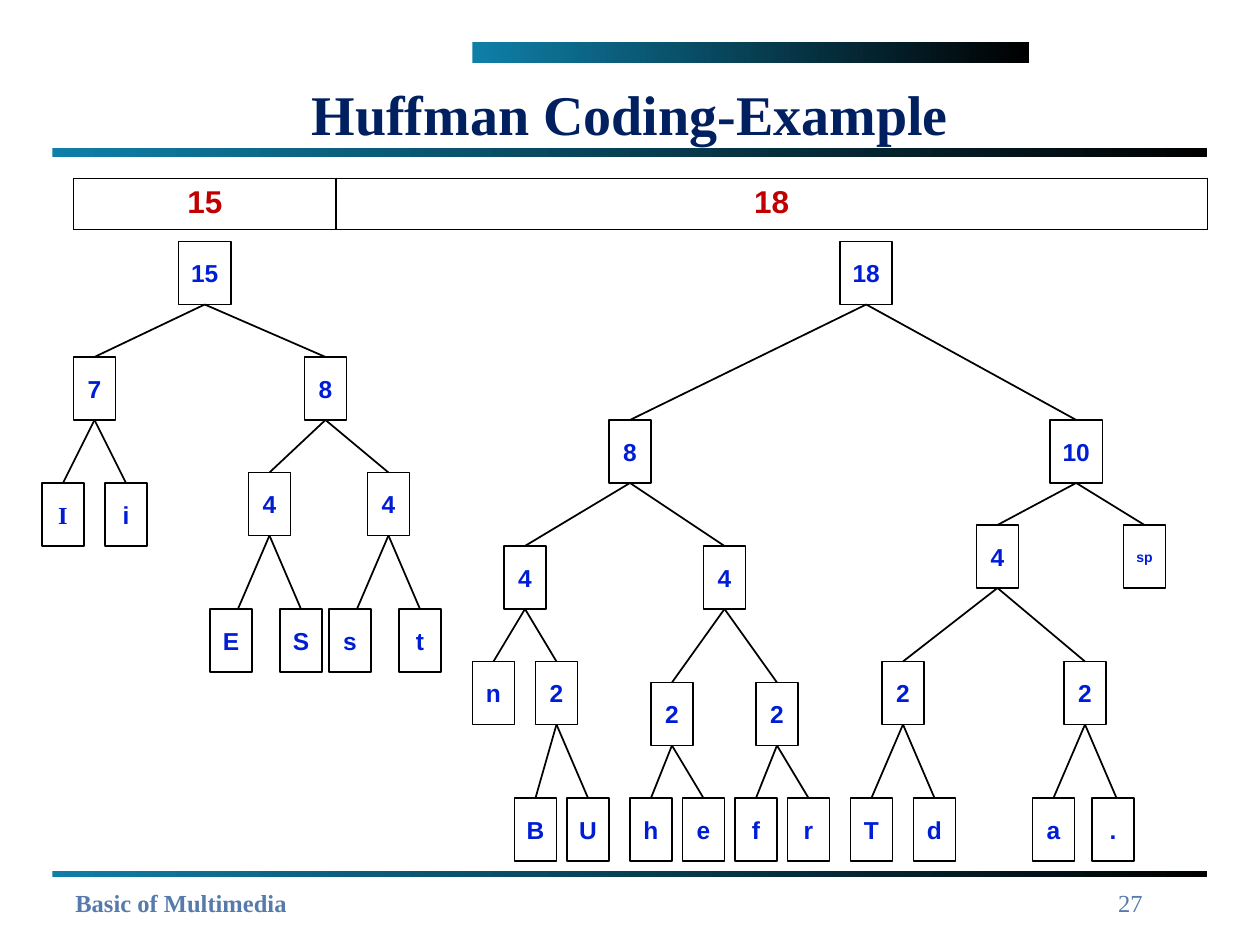
from dataclasses import dataclass
from typing import Optional

from lxml.etree import SubElement
from pptx import Presentation
from pptx.dml.color import RGBColor
from pptx.enum.shapes import MSO_CONNECTOR as Connector, MSO_SHAPE as Shape
from pptx.enum.text import MSO_ANCHOR as Anchor, PP_ALIGN as Align
from pptx.oxml import parse_xml
from pptx.oxml.ns import nsdecls, qn
from pptx.util import Pt


@dataclass(frozen=True)
class Theme:
    """Colours, type formats and line width of the slide."""
    ink: str = "000000"
    paper: str = "FFFFFF"
    accent: str = "0F7FA7"
    line: float = 1
    title = {"name": "Times New Roman", "size": 32, "bold": True, "color": "002060"}
    footer = {"name": "Times New Roman", "size": 14, "bold": True, "color": "557AAB"}
    number = {**footer, "bold": False}
    cell = {"name": "Arial", "size": 18, "bold": True, "color": "C00000"}
    node = {"name": "Arial", "size": 14, "bold": True, "color": "001DD6"}
    small = {**node, "size": 8}
    serif = {**node, "name": "Times New Roman"}


@dataclass(frozen=True)
class Node:
    """A tree node: its label, centre, top, children and where its edge ends."""
    label: str
    x: float
    y: float
    children: tuple = ()
    edge_x: Optional[float] = None


THEME = Theme()
NODE_HEIGHT = 36
NODE_WIDTH, WIDE_NODE = 24, 30
LEAF_STYLES = {"sp": THEME.small, "I": THEME.serif}

LEFT_TREE = Node("15", 117, 138, (
    Node("7", 54, 204, (Node("I", 36, 276), Node("i", 72, 276))),
    Node("8", 186, 204, (
        Node("4", 154, 270, (Node("E", 132, 348, edge_x=136), Node("S", 172, 348))),
        Node("4", 222, 270, (Node("s", 200, 348, edge_x=204), Node("t", 240, 348))),
    )),
))
RIGHT_TREE = Node("18", 495, 138, (
    Node("8", 360, 240, (
        Node("4", 300, 312, (
            Node("n", 282, 378),
            Node("2", 318, 378, (Node("B", 306, 456), Node("U", 336, 456))),
        )),
        Node("4", 414, 312, (
            Node("2", 384, 390, (Node("h", 372, 456), Node("e", 402, 456))),
            Node("2", 444, 390, (Node("f", 432, 456), Node("r", 462, 456))),
        )),
    )),
    Node("10", 615, 240, (
        Node("4", 570, 300, (
            Node("2", 516, 378, (Node("T", 498, 456), Node("d", 534, 456))),
            Node("2", 620, 378, (Node("a", 602, 456),
                                 Node(".", 636, 456, edge_x=638))),
        )),
        Node("sp", 654, 300),
    )),
))


def points(*lengths):
    """Turn plain numbers into point lengths."""
    return [Pt(length) for length in lengths]


def color(value):
    """Turn a hex string into a colour."""
    return RGBColor.from_string(value)


def write(frame, text, style, align):
    """Put one formatted line of text into a text frame."""
    para = frame.paragraphs[0]
    para.alignment = align
    span = para.add_run()
    span.text = text
    values = {**style, "size": Pt(style["size"])}
    span.font.color.rgb = color(values.pop("color"))
    for name, value in values.items():
        setattr(span.font, name, value)


def add_title(slide, text):
    """Place and fill the title placeholder."""
    title = slide.shapes.title
    title.left, title.top, title.width, title.height = points(30, 40.5, 660, 48)
    title.text_frame.vertical_anchor = Anchor.MIDDLE
    write(title.text_frame, text, THEME.title, Align.CENTER)


def add_text(slide, area, text, style, align):
    """Add a wrapping text box."""
    box = slide.shapes.add_textbox(*points(*area))
    box.text_frame.word_wrap = True
    write(box.text_frame, text, style, align)


def add_bar(slide, area):
    """Add a bar that fades from the accent colour to ink."""
    bar = slide.shapes.add_shape(Shape.RECTANGLE, *points(*area))
    bar.shadow.inherit = False
    bar.line.fill.background()
    bar.fill.gradient()
    bar.fill.gradient_angle = 0
    stops = zip(bar.fill.gradient_stops, (0, 1), (THEME.accent, THEME.ink))
    for stop, position, value in stops:
        stop.position = position
        stop.color.rgb = color(value)


def add_total_table(slide, area, widths, totals):
    """Add the one-row table of tree totals."""
    table = slide.shapes.add_table(1, len(totals), *points(*area)).table
    table.first_row = table.horz_banding = False
    for column, cell, width, total in zip(table.columns, table.rows[0].cells,
                                          widths, totals):
        column.width = Pt(width)
        cell.fill.background()
        write(cell.text_frame, total, THEME.cell, Align.CENTER)
        properties = cell._tc.get_or_add_tcPr()
        for index, side in enumerate("LRTB"):
            properties.insert(index, parse_xml(
                f'<a:ln{side} {nsdecls("a")} w="{Pt(THEME.line)}"><a:solidFill>'
                f'<a:srgbClr val="{THEME.ink}"/></a:solidFill></a:ln{side}>'))


def add_edge(slide, start, end):
    """Join two points with a thin line."""
    edge = slide.shapes.add_connector(Connector.STRAIGHT, *points(*start, *end))
    edge.line.color.rgb = color(THEME.ink)
    edge.line.width = Pt(THEME.line)
    SubElement(edge._element.spPr, qn("a:effectLst"))


def add_node(slide, node):
    """Add the labelled box of one node."""
    width = WIDE_NODE if node.label.isdigit() and len(node.label) > 1 else NODE_WIDTH
    box = slide.shapes.add_shape(
        Shape.RECTANGLE, *points(node.x - width / 2, node.y, width, NODE_HEIGHT))
    box.shadow.inherit = False
    box.fill.solid()
    box.fill.fore_color.rgb = color(THEME.paper)
    box.line.color.rgb = color(THEME.ink)
    box.line.width = Pt(THEME.line)
    frame = box.text_frame
    frame.word_wrap = False
    frame.vertical_anchor = Anchor.MIDDLE
    for side in ("left", "right", "top", "bottom"):
        setattr(frame, f"margin_{side}", 0)
    write(frame, node.label, LEAF_STYLES.get(node.label, THEME.node), Align.CENTER)


def add_tree(slide, node):
    """Add a node, its edges and all nodes below it."""
    add_node(slide, node)
    for child in node.children:
        add_tree(slide, child)
        add_edge(slide, (node.x, node.y + NODE_HEIGHT),
                 (child.edge_x or child.x, child.y))


def main():
    """Build and save the slide."""
    deck = Presentation()
    deck.slide_width, deck.slide_height = points(720, 540)
    slide = deck.slides.add_slide(deck.slide_layouts[5])
    for area in ((270, 24, 318, 12), (30, 84.75, 660, 5), (30, 498, 660, 3)):
        add_bar(slide, area)
    add_title(slide, "Huffman Coding-Example")
    add_text(slide, (36, 504, 438, 24), "Basic of Multimedia",
             THEME.footer, Align.LEFT)
    add_text(slide, (510, 504, 150, 36), "27", THEME.number, Align.RIGHT)
    add_total_table(slide, (42, 102, 648, 29.2), (150, 498), ("15", "18"))
    for tree in (LEFT_TREE, RIGHT_TREE):
        add_tree(slide, tree)
    deck.save("out.pptx")


main()
